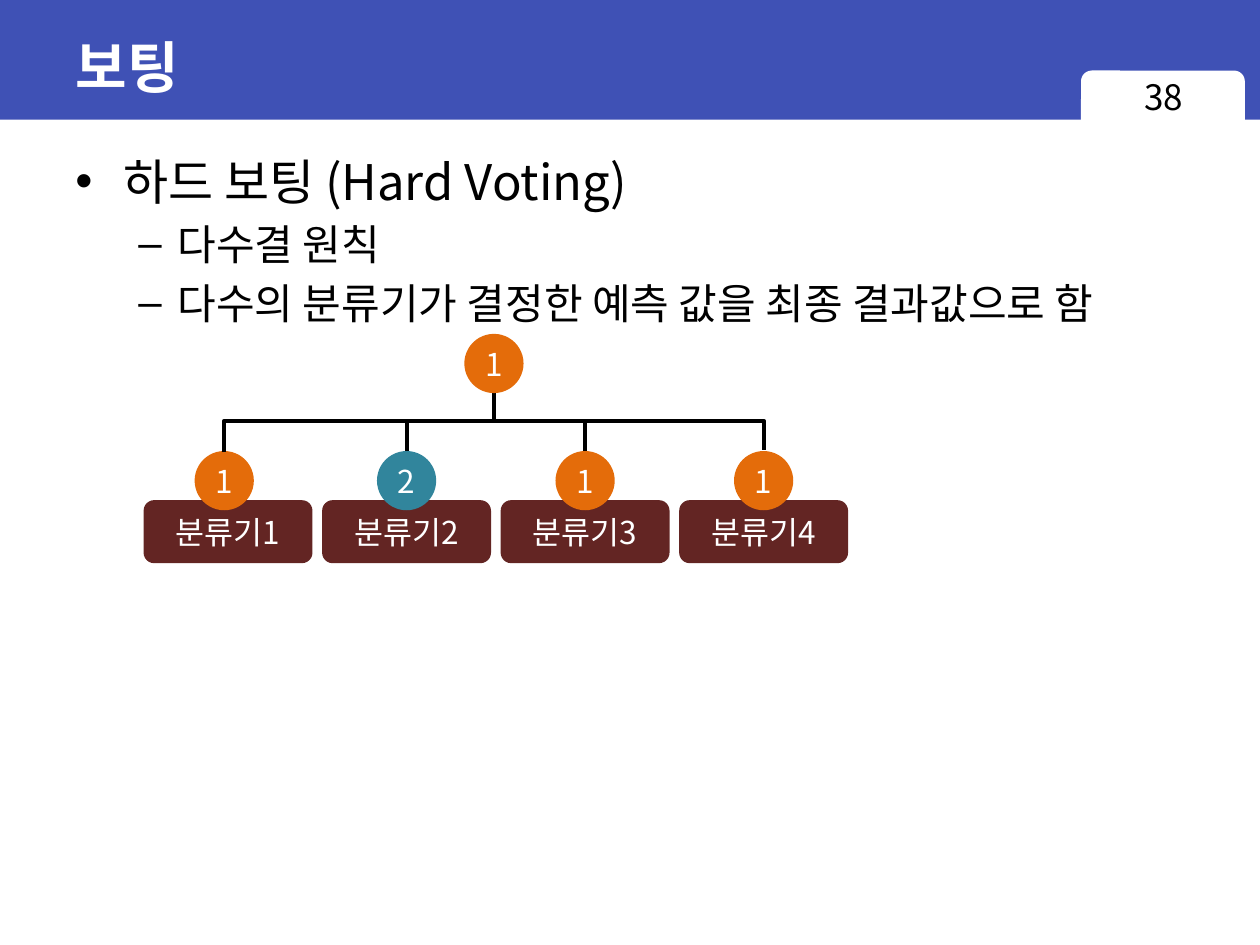
from dataclasses import dataclass

from lxml.etree import SubElement
from pptx import Presentation
from pptx.dml.color import RGBColor
from pptx.enum.shapes import MSO_CONNECTOR, MSO_SHAPE
from pptx.enum.text import MSO_ANCHOR, PP_ALIGN
from pptx.oxml.ns import qn
from pptx.shapes.autoshape import Shape
from pptx.shapes.connector import Connector
from pptx.slide import Slide
from pptx.text.text import _Paragraph
from pptx.util import Inches, Pt

COLORS = {
    "band": "3F51B5",
    "white": "FFFFFF",
    "black": "000000",
    "classifier": "632523",
    "majority": "E46C0A",
    "minority": "31859C",
}
BODY_FONT = "Noto Sans CJK KR"
TITLE_FONT = "Arial"
FIRST_CENTER, COLUMN_PITCH = 1.81, 1.417
CIRCLE_SIZE = 0.47
VOTE_TOP, BUS_Y = 3.58, 3.34


@dataclass
class Box:
    left: float
    top: float
    width: float
    height: float

    def lengths(self) -> list[int]:
        return [Inches(n) for n in (self.left, self.top, self.width, self.height)]


@dataclass
class Classifier:
    name: str
    vote: str
    color: str
    shift: float = 0


@dataclass
class Bullet:
    text: str
    size: int
    level: int
    mark: str
    margin: float
    hanging: float
    space_before: float


CLASSIFIERS = [
    Classifier("분류기1", "1", "majority", -0.03),
    Classifier("분류기2", "2", "minority"),
    Classifier("분류기3", "1", "majority"),
    Classifier("분류기4", "1", "majority"),
]
BULLETS = [
    Bullet("하드 보팅 (Hard Voting)", 28, 0, "•", 0.38, 0.38, 0),
    Bullet("다수결 원칙", 24, 1, "–", 0.81, 0.31, 4.8),
    Bullet("다수의 분류기가 결정한 예측 값을 최종 결과값으로 함", 24, 1, "–", 0.81, 0.31, 4.8),
]


def color(name: str) -> RGBColor:
    return RGBColor.from_string(COLORS[name])


def add_run(paragraph: _Paragraph, text: str, size: float, color_name: str,
            font_name: str = BODY_FONT, bold: bool = False) -> None:
    run = paragraph.add_run()
    run.text = text
    run.font.size = Pt(size)
    run.font.bold = bold
    run.font.color.rgb = color(color_name)
    run.font.name = font_name
    SubElement(run.font._element, qn("a:ea"), typeface=BODY_FONT)


def add_filled(slide: Slide, kind: MSO_SHAPE, box: Box, fill: str, text: str = "") -> Shape:
    shape = slide.shapes.add_shape(kind, *box.lengths())
    shape.shadow.inherit = False
    shape.fill.solid()
    shape.fill.fore_color.rgb = color(fill)
    shape.line.fill.background()
    if text:
        frame = shape.text_frame
        frame.margin_left = frame.margin_right = 0
        frame.margin_top = frame.margin_bottom = 0
        frame.vertical_anchor = MSO_ANCHOR.MIDDLE
        paragraph = frame.paragraphs[0]
        paragraph.alignment = PP_ALIGN.CENTER
        add_run(paragraph, text, 18, "white")
    return shape


def add_circle(slide: Slide, center: float, top: float, fill: str, text: str) -> Shape:
    box = Box(center - CIRCLE_SIZE / 2, top, CIRCLE_SIZE, CIRCLE_SIZE)
    return add_filled(slide, MSO_SHAPE.OVAL, box, fill, text)


def add_line(slide: Slide, kind: MSO_CONNECTOR, *ends: float) -> Connector:
    connector = slide.shapes.add_connector(kind, *[Inches(n) for n in ends])
    connector.line.color.rgb = color("black")
    connector.line.width = Pt(2.25)
    SubElement(connector.element.spPr, qn("a:effectLst"))
    return connector


def add_bracket(slide: Slide, left: float, right: float, foot: float, top: float) -> None:
    middle, half_span, half_drop = (left + right) / 2, (right - left) / 2, 0.01
    bracket = add_line(slide, MSO_CONNECTOR.ELBOW, middle + half_drop, foot + half_span,
                       middle - half_drop, foot - half_span)
    properties = bracket.element.spPr
    properties.find(qn("a:xfrm")).set("rot", "5400000")
    geometry = properties.find(qn("a:prstGeom"))
    guides = geometry.find(qn("a:avLst"))
    if guides is None:
        guides = SubElement(geometry, qn("a:avLst"))
    share = round((foot + half_drop - top) / (2 * half_drop) * 100000)
    SubElement(guides, qn("a:gd"), name="adj1", fmla=f"val {share}")


def add_header(slide: Slide) -> None:
    add_filled(slide, MSO_SHAPE.RECTANGLE, Box(0, 0, 10, 0.95), "band")
    tab = Box(8.58, 0.56, 1.3, 0.51)
    add_filled(slide, MSO_SHAPE.ROUNDED_RECTANGLE, tab, "white")

    title = slide.shapes.title
    title.left, title.top, title.width, title.height = Box(0.5, 0.11, 9, 0.83).lengths()
    title.text_frame.vertical_anchor = MSO_ANCHOR.MIDDLE
    paragraph = title.text_frame.paragraphs[0]
    paragraph.alignment = PP_ALIGN.LEFT
    add_run(paragraph, "보팅", 32, "white", TITLE_FONT, True)
    title.element.getparent().append(title.element)

    number = slide.shapes.add_textbox(*Box(8.58, 0.55, 1.31, 0.52).lengths())
    number.text_frame.word_wrap = True
    paragraph = number.text_frame.paragraphs[0]
    paragraph.alignment = PP_ALIGN.CENTER
    add_run(paragraph, "38", 20, "black")


def add_bullets(slide: Slide) -> None:
    frame = slide.shapes.add_textbox(*Box(0.5, 1.15, 9.5, 6.14).lengths()).text_frame
    frame.word_wrap = True
    for index, bullet in enumerate(BULLETS):
        paragraph = frame.add_paragraph() if index else frame.paragraphs[0]
        paragraph.level = bullet.level
        paragraph.space_before = Pt(bullet.space_before)
        properties = paragraph._p.get_or_add_pPr()
        properties.set("marL", str(Inches(bullet.margin)))
        properties.set("indent", str(-Inches(bullet.hanging)))
        SubElement(properties, qn("a:buFont"), typeface="Arial")
        SubElement(properties, qn("a:buChar"), char=bullet.mark)
        add_run(paragraph, bullet.text, bullet.size, "black")


def add_voting_tree(slide: Slide) -> None:
    centers = [FIRST_CENTER + COLUMN_PITCH * column for column in range(len(CLASSIFIERS))]
    for center, classifier in zip(centers, CLASSIFIERS):
        add_filled(slide, MSO_SHAPE.ROUNDED_RECTANGLE, Box(center - 0.67, 3.97, 1.34, 0.5),
                   "classifier", classifier.name)
    vote_centers = [center + item.shift for center, item in zip(centers, CLASSIFIERS)]
    votes = [add_circle(slide, center, VOTE_TOP, item.color, item.vote)
             for center, item in zip(vote_centers, CLASSIFIERS)]

    add_bracket(slide, vote_centers[0], vote_centers[-1], VOTE_TOP, BUS_Y)
    for center, vote in list(zip(vote_centers, votes))[1:-1]:
        stem = add_line(slide, MSO_CONNECTOR.STRAIGHT, center, VOTE_TOP, center, BUS_Y)
        stem.begin_connect(vote, 0)
    root_center = (vote_centers[0] + vote_centers[-1]) / 2
    add_line(slide, MSO_CONNECTOR.STRAIGHT, root_center, BUS_Y, root_center, 3.1)
    add_circle(slide, root_center, 2.65, "majority", "1")


def main() -> None:
    presentation = Presentation()
    presentation.slide_width, presentation.slide_height = Inches(10), Inches(7.5)
    slide = presentation.slides.add_slide(presentation.slide_layouts[5])
    add_header(slide)
    add_bullets(slide)
    add_voting_tree(slide)
    presentation.save("out.pptx")


if __name__ == "__main__":
    main()
